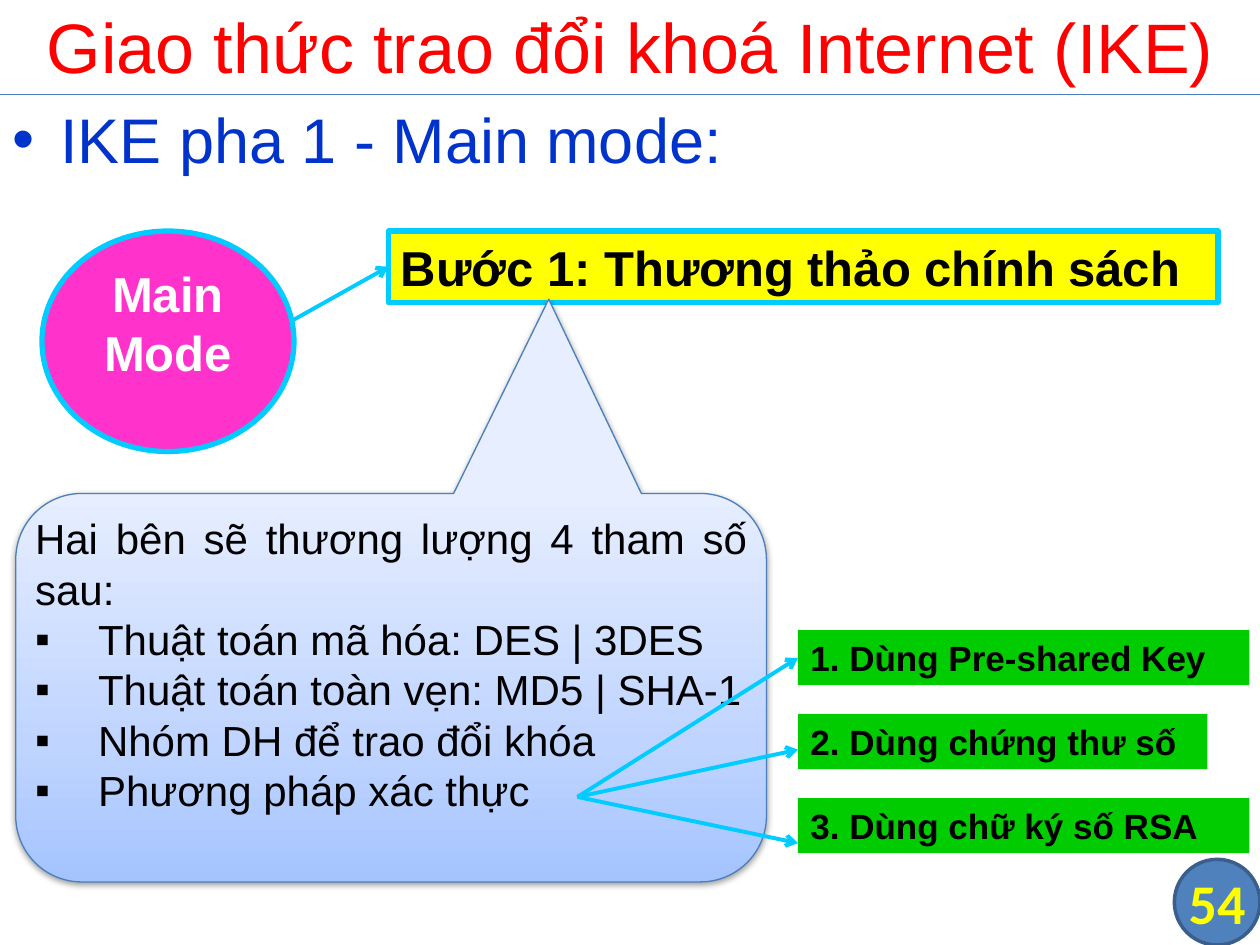
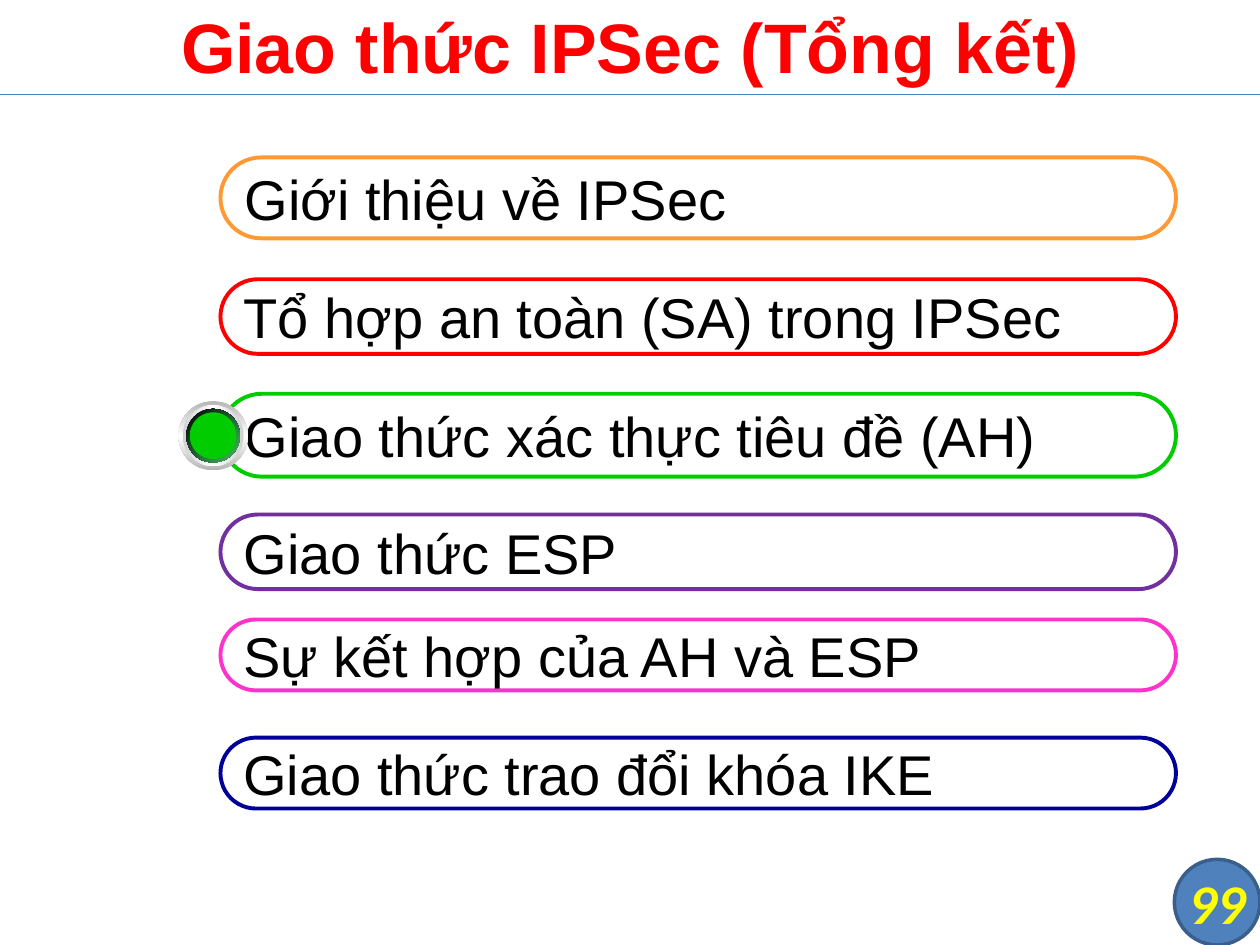
from dataclasses import dataclass

from lxml import etree
from pptx import Presentation
from pptx.dml.color import RGBColor
from pptx.enum.shapes import MSO_CONNECTOR, MSO_SHAPE
from pptx.enum.text import MSO_ANCHOR, PP_ALIGN
from pptx.oxml.ns import qn
from pptx.util import Inches, Pt

RECTANGLE = MSO_SHAPE.RECTANGLE
PILL = MSO_SHAPE.ROUNDED_RECTANGLE
ELLIPSE = MSO_SHAPE.OVAL
BADGE = MSO_SHAPE.FLOWCHART_CONNECTOR
CALLOUT = MSO_SHAPE.ROUNDED_RECTANGULAR_CALLOUT
STRAIGHT = MSO_CONNECTOR.STRAIGHT
LEFT, CENTER, JUSTIFY = PP_ALIGN.LEFT, PP_ALIGN.CENTER, PP_ALIGN.JUSTIFY
TOP, MIDDLE = MSO_ANCHOR.TOP, MSO_ANCHOR.MIDDLE

WIDTH, HEIGHT = Inches(10), Inches(7.5)
COLUMNS, ROWS = 120, 90


@dataclass(frozen=True)
class Theme:
    font: str = "Arial"
    number_font: str = "Calibri"
    red: str = "FF0000"
    blue: str = "0033CC"
    cyan: str = "00CCFF"
    pink: str = "FF33CC"
    yellow: str = "FFFF00"
    green: str = "00CC00"
    orange: str = "FF9933"
    purple: str = "7030A0"
    navy: str = "000099"
    black: str = "000000"
    white: str = "FFFFFF"
    badge: str = "4F81BD"
    badge_edge: str = "3A5F8C"
    rule: str = "4B7EBC"
    title_size: int = 40
    heading_size: int = 36
    item_size: int = 32
    step_size: int = 28
    body_size: int = 24
    option_size: int = 20
    callout_fill: tuple = ((0, "A4C4FF"), (35, "BFD4FF"), (100, "E6EEFF"))
    knob_rings: tuple = (
        (6.6, ((0, "B6B6B6"), (50, "FFFFFF"), (100, "B6B6B6")), 90),
        (5.8, ((0, "D1D1D1"), (50, "FFFFFF"), (100, "D1D1D1")), 0),
        (5.1, ((0, "FFFFFF"), (50, "0000FF"), (100, "FFFFFF")), 45),
        (5.1, ((0, "000000"), (100, "48BE67")), 45),
    )


THEME = Theme()


@dataclass(frozen=True)
class Box:
    left: float
    top: float
    width: float
    height: float

    def inner(self, left, top, width, height):
        return Box(self.left + left, self.top + top, width, height)

    def point(self, column, row):
        return self.left + column, self.top + row

    def lengths(self):
        return (*position(self.left, self.top), *position(self.width, self.height))


def position(column, row):
    return round(WIDTH * column / COLUMNS), round(HEIGHT * row / ROWS)


def color(value):
    return RGBColor.from_string(value)


def child(parent, tag, **attributes):
    element = etree.SubElement(parent, qn(tag))
    for name, value in attributes.items():
        element.set(name, str(value))
    return element


def write(shape, lines, *, size, ink=THEME.black, font=THEME.font, bold=False,
          italic=False, align=LEFT, anchor=MIDDLE, insets=(0.1, 0.05), wrap=True,
          bullet=None, indent=0, bullets_from=0):
    frame = shape.text_frame
    frame.word_wrap = wrap
    frame.vertical_anchor = anchor
    frame.margin_left = frame.margin_right = Inches(insets[0])
    frame.margin_top = frame.margin_bottom = Inches(insets[1])
    for index, line in enumerate(lines):
        paragraph = frame.add_paragraph() if index else frame.paragraphs[0]
        paragraph.alignment = align
        if bullet and index >= bullets_from:
            properties = paragraph._p.get_or_add_pPr()
            properties.set("marL", str(Inches(indent)))
            properties.set("indent", str(-Inches(indent)))
            child(properties, "a:buFont", typeface=THEME.font)
            child(properties, "a:buChar", char=bullet)
        run = paragraph.add_run()
        run.text = line
        run.font.name = font
        run.font.size = Pt(size)
        run.font.bold = bold
        run.font.italic = italic
        run.font.color.rgb = color(ink)


def add_text(slide, box, text, **style):
    write(slide.shapes.add_textbox(*box.lengths()), [text], **style)


def paint_gradient(shape, stops, angle):
    shape.fill.gradient()
    shape.fill.gradient_angle = (360 - angle) % 360
    stop_list = shape._element.spPr.find(".//" + qn("a:gsLst"))
    for stop in list(stop_list):
        stop_list.remove(stop)
    for share, value in stops:
        child(child(stop_list, "a:gs", pos=share * 1000), "a:srgbClr", val=value)


def add_figure(slide, kind, box, *, fill=None, line=None, line_width=1, gradient=None,
               angle=0, adjustments=()):
    shape = slide.shapes.add_shape(kind, *box.lengths())
    shape.shadow.inherit = False
    for index, value in enumerate(adjustments):
        shape.adjustments[index] = value
    if gradient:
        paint_gradient(shape, gradient, angle)
    elif fill:
        shape.fill.solid()
        shape.fill.fore_color.rgb = color(fill)
    else:
        shape.fill.background()
    if line:
        shape.line.color.rgb = color(line)
        shape.line.width = Pt(line_width)
    else:
        shape.line.fill.background()
    return shape


def add_line(slide, start, end, *, ink, width, arrow=False):
    connector = slide.shapes.add_connector(STRAIGHT, *position(*start), *position(*end))
    connector.line.color.rgb = color(ink)
    connector.line.width = Pt(width)
    properties = connector._element.spPr
    if arrow:
        child(properties.find(qn("a:ln")), "a:tailEnd", type="arrow")
    child(properties, "a:effectLst")


def add_arrow(slide, start, end):
    add_line(slide, start, end, ink=THEME.cyan, width=2.25, arrow=True)


def add_soft_shadow(shape):
    effects = shape._element.spPr.find(qn("a:effectLst"))
    shadow = child(effects, "a:outerShdw", blurRad=Pt(3.1), dist=Pt(1.6),
                   dir=90 * 60000, rotWithShape=0)
    child(child(shadow, "a:srgbClr", val=THEME.black), "a:alpha", val=38000)


def add_frame(presentation, title, number, *, bold=False, italic_number=False):
    slide = presentation.slides.add_slide(presentation.slide_layouts[6])
    page = Box(0, 0, COLUMNS, ROWS)
    badge = add_figure(slide, BADGE, page.inner(111.84, 81.84, 8.16, 8.16),
                       fill=THEME.badge, line=THEME.badge_edge, line_width=2)
    write(badge, [number], size=THEME.item_size, ink=THEME.yellow,
          font=THEME.number_font, bold=True, italic=italic_number,
          align=CENTER, insets=(0, 0), wrap=False)
    add_line(slide, page.point(0, 9), page.point(COLUMNS, 9), ink=THEME.rule, width=0.75)
    add_text(slide, page.inner(0, -0.36, COLUMNS, 9.36), title, size=THEME.title_size,
             ink=THEME.red, bold=bold, align=CENTER)
    return slide


def add_mode_step(slide, box):
    add_arrow(slide, box.point(23, 9), box.point(33, 3.4))
    mode = add_figure(slide, ELLIPSE, box.inner(0, 0, 24, 21),
                      fill=THEME.pink, line=THEME.cyan, line_width=3)
    write(mode, ["Main Mode"], size=THEME.step_size, ink=THEME.white, bold=True,
          align=CENTER, anchor=TOP, insets=(0.1, 0))
    step = add_figure(slide, RECTANGLE, box.inner(33, 0, 79, 6.85),
                      fill=THEME.yellow, line=THEME.cyan, line_width=3)
    write(step, ["Bước 1: Thương thảo chính sách"], size=THEME.step_size, bold=True)


def add_parameters(slide, box):
    callout = add_figure(slide, CALLOUT, box, gradient=THEME.callout_fill, angle=270,
                         line=THEME.rule, line_width=0.75,
                         adjustments=(0.21, -1, 0.17))
    add_soft_shadow(callout)
    write(callout, [
        "Hai bên sẽ thương lượng 4 tham số sau:",
        "Thuật toán mã hóa: DES | 3DES",
        "Thuật toán toàn vẹn: MD5 | SHA-1",
        "Nhóm DH để trao đổi khóa",
        "Phương pháp xác thực",
    ], size=THEME.body_size, align=JUSTIFY, anchor=TOP, insets=(0, 0),
        bullet="▪", indent=0.5, bullets_from=1)


def add_authentication(slide, box):
    options = (("1. Dùng Pre-shared Key", 43, 2.65),
               ("2. Dùng chứng thư số", 39, 3.4),
               ("3. Dùng chữ ký số RSA", 43, 4.3))
    pitch = 8
    for index, (_, _, target) in enumerate(options):
        add_arrow(slide, box.point(0, 15.9), box.point(21, index * pitch + target))
    for index, (label, width, _) in enumerate(options):
        option = add_figure(slide, RECTANGLE, box.inner(21, index * pitch, width, 5.25),
                            fill=THEME.green)
        write(option, [label], size=THEME.option_size, bold=True)


def add_summary(slide, box):
    topics = (("Giới thiệu về IPSec", THEME.orange, 0, 7.7),
              ("Tổ hợp an toàn (SA) trong IPSec", THEME.red, 11.6, 7.1),
              ("Giao thức xác thực tiêu đề (AH)", THEME.green, 22.5, 7.9),
              ("Giao thức ESP", THEME.purple, 34, 7.1),
              ("Sự kết hợp của AH và ESP", THEME.pink, 44, 6.75),
              ("Giao thức trao đổi khóa IKE", THEME.navy, 55.25, 6.75))
    for label, edge, top, height in topics:
        pill = add_figure(slide, PILL, box.inner(0, top, box.width, height),
                          line=edge, line_width=2.25, adjustments=(0.5,))
        write(pill, [label], size=THEME.item_size)


def add_knob(slide, box):
    def centered(size):
        return box.inner((box.width - size) / 2, (box.height - size) / 2, size, size)

    for size, stops, angle in THEME.knob_rings:
        add_figure(slide, ELLIPSE, centered(size), gradient=stops, angle=angle)
    add_figure(slide, ELLIPSE, centered(4.45), fill=THEME.green)


def build_main_mode(presentation):
    slide = add_frame(presentation, "Giao thức trao đổi khoá Internet (IKE)", "54")
    add_text(slide, Box(0, 9, COLUMNS, 9), "IKE pha 1 - Main mode:",
             size=THEME.heading_size, ink=THEME.blue, anchor=TOP,
             bullet="•", indent=0.38)
    add_mode_step(slide, Box(4, 22, 112, 21))
    add_parameters(slide, Box(1.5, 47, 71.5, 37))
    add_authentication(slide, Box(55, 60, 64, 21.25))


def build_summary(presentation):
    slide = add_frame(presentation, "Giao thức IPSec (Tổng kết)", "99",
                      bold=True, italic_number=True)
    add_summary(slide, Box(21, 15, 91, 62))
    add_knob(slide, Box(17, 38.2, 6.6, 6.6))


def main():
    presentation = Presentation()
    presentation.slide_width, presentation.slide_height = WIDTH, HEIGHT
    build_main_mode(presentation)
    build_summary(presentation)
    presentation.save("out.pptx")


if __name__ == "__main__":
    main()
